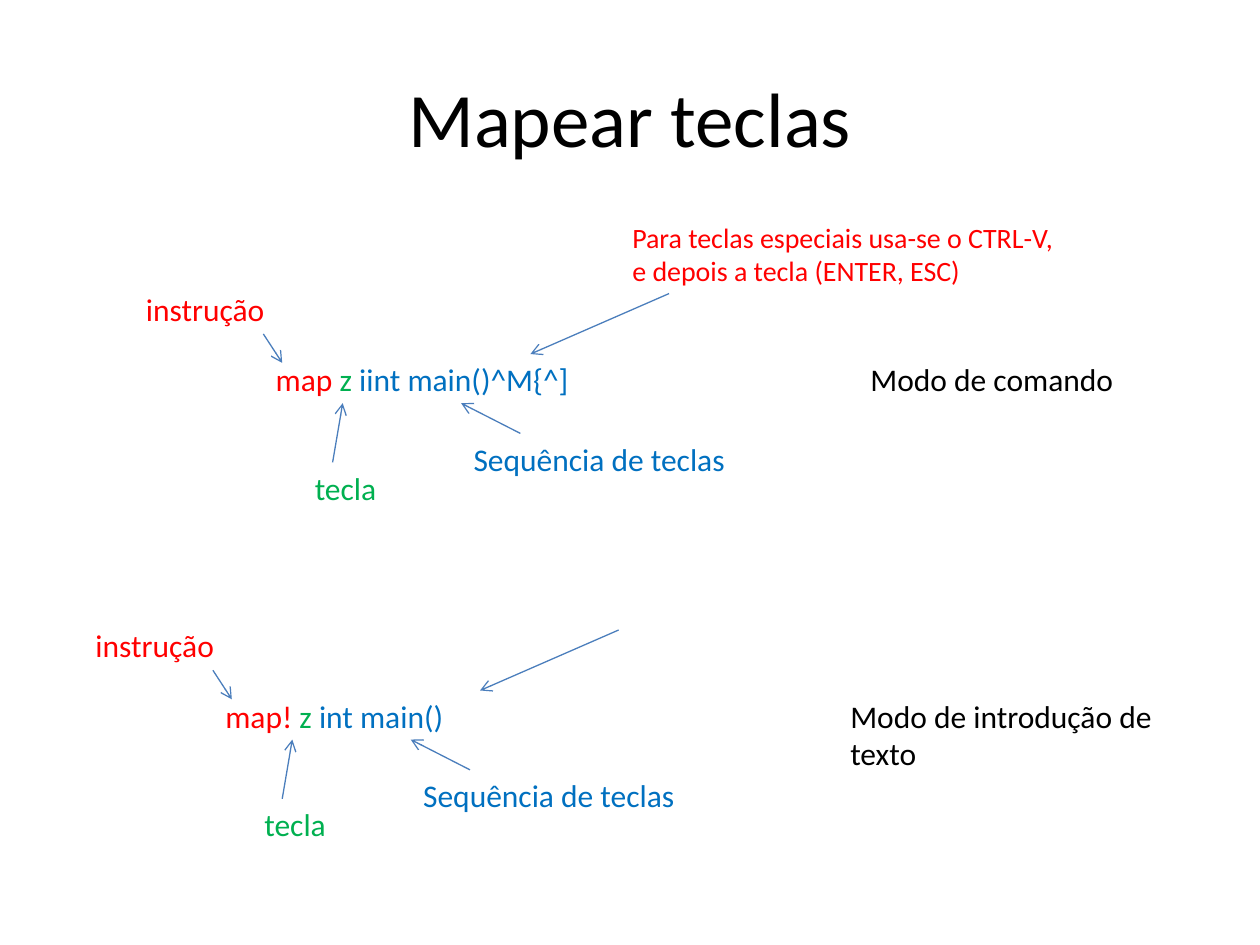
from lxml import etree
from pptx import Presentation
from pptx import util as u
from pptx.dml.color import RGBColor
from pptx.enum import shapes, text
from pptx.oxml import ns

RED = RGBColor(0xFF, 0x00, 0x00)
GREEN = RGBColor(0x00, 0xB0, 0x50)
BLUE = RGBColor(0x00, 0x70, 0xC0)
BLACK = RGBColor(0x00, 0x00, 0x00)
ARROW_BLUE = RGBColor(0x4B, 0x7E, 0xBC)


def add_text(page, spans, left, top, width, height=0.4, *, size=18,
             align=text.PP_ALIGN.LEFT, anchor=text.MSO_ANCHOR.TOP):
    """Add a one-paragraph text box from (wording, colour) spans."""
    box = page.shapes.add_textbox(*map(u.Inches, (left, top, width, height)))
    frame = box.text_frame
    frame.word_wrap = True
    frame.vertical_anchor = anchor
    para = frame.paragraphs[0]
    para.alignment = align
    for wording, color in spans:
        span = para.add_run()
        span.text = wording
        span.font.name = "Calibri"
        span.font.size = u.Pt(size)
        span.font.color.rgb = color


def add_arrow(page, start, end):
    """Add a thin line with an open arrowhead at its end."""
    arrow = page.shapes.add_connector(
        shapes.MSO_CONNECTOR.STRAIGHT, *map(u.Inches, (*start, *end)))
    arrow.line.color.rgb = ARROW_BLUE
    arrow.line.width = u.Pt(0.75)
    properties = arrow.element.spPr
    etree.SubElement(arrow.line._get_or_add_ln(), ns.qn("a:tailEnd"), type="arrow")
    etree.SubElement(properties, ns.qn("a:effectLst"))


def add_example(page, left, top, command, sequence):
    """Add an annotated mapping; left and top place its command line."""
    add_text(page, [(command + " ", RED), ("z ", GREEN), (sequence, BLUE)],
             left, top, 5)

    # Labels around the command
    for wording, color, dx, dy, width in (
        ("instrução", RED, -1.03, -0.56, 1.26),
        ("tecla", GREEN, 0.31, 0.86, 0.87),
        ("Sequência de teclas", BLUE, 1.57, 0.63, 2.28),
    ):
        add_text(page, [(wording, color)], left + dx, top + dy, width)

    # Arrows from the labels to the command
    for x1, y1, x2, y2 in (
        (0, -0.16, 0.15, 0.07),
        (0.55, 0.86, 0.63, 0.39),
        (2.04, 0.63, 1.57, 0.39),
        (3.22, -0.48, 2.12, 0),
    ):
        add_arrow(page, (left + x1, top + y1), (left + x2, top + y2))


def main():
    deck = Presentation()
    deck.slide_width, deck.slide_height = u.Inches(10), u.Inches(7.5)
    page = deck.slides.add_slide(deck.slide_layouts[6])

    # Title
    add_text(page, [("Mapear teclas", BLACK)], 0.5, 0.3, 9, 1.25, size=44,
             align=text.PP_ALIGN.CENTER, anchor=text.MSO_ANCHOR.MIDDLE)

    # Command mode
    add_example(page, 2.09, 2.81, "map", "iint main()^M{^]")
    add_text(page, [("Modo de comando", BLACK)], 6.81, 2.81, 2.28)
    add_text(page, [("Para teclas especiais usa-se o CTRL-V, "
                     "e depois a tecla (ENTER, ESC)", RED)],
             4.92, 1.7, 3.62, 0.64, size=16)

    # Text insertion mode
    add_example(page, 1.69, 5.48, "map!", "int main()")
    add_text(page, [("Modo de introdução de texto", BLACK)], 6.65, 5.48, 2.68, 0.71)

    deck.save("out.pptx")


if __name__ == "__main__":
    main()
